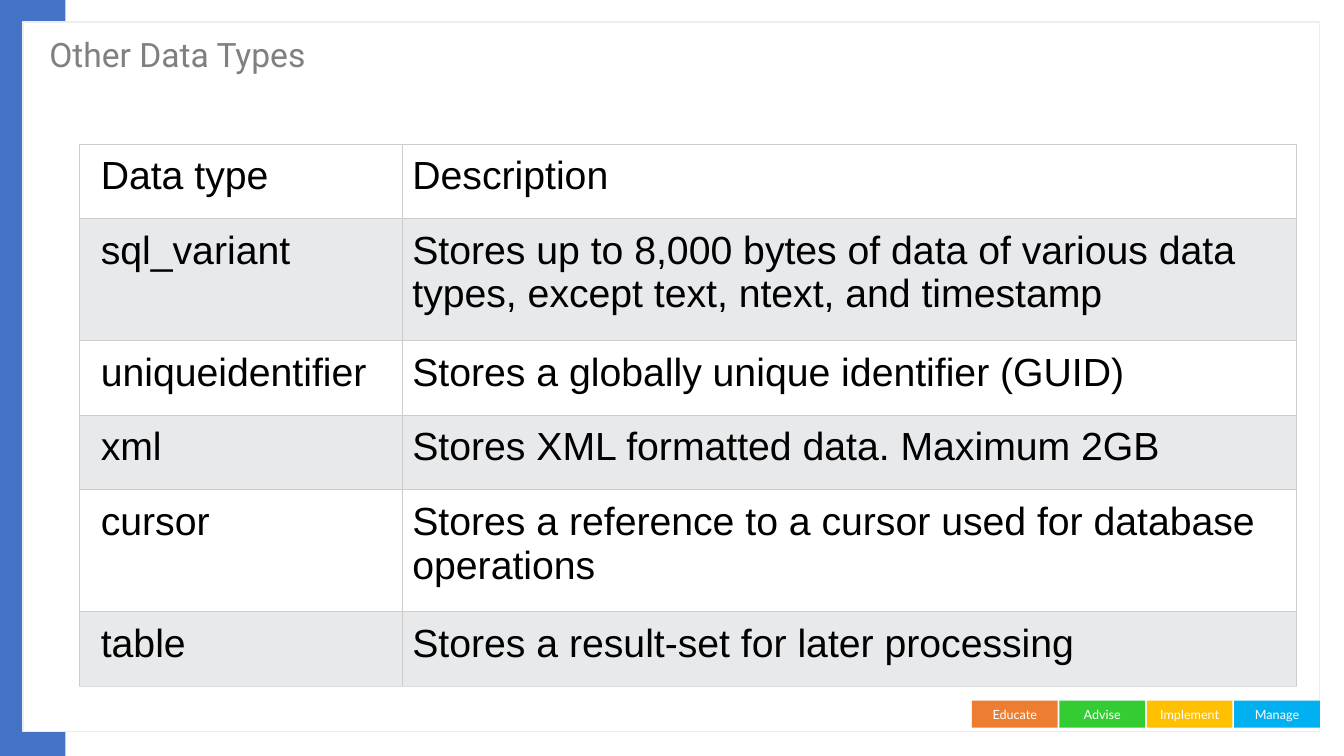
from dataclasses import dataclass

from lxml import etree
from pptx import Presentation
from pptx import util as u
from pptx.dml.color import RGBColor
from pptx.enum import shapes, text
from pptx.oxml import ns


@dataclass
class Box:
    left: float
    top: float
    width: float
    height: float
    fill: str
    line: str = ""
    label: str = ""


@dataclass
class Row:
    name: str
    note: str
    height: float = 0.74


def paint(target, color: str) -> None:
    target.rgb = RGBColor.from_string(color)


def style(frame, face: str, size: float, color: str) -> None:
    for para in frame.paragraphs:
        for run in para.runs:
            run.font.name = face
            run.font.size = u.Pt(size)
            paint(run.font.color, color)


def draw_box(slide, box: Box) -> None:
    shape = slide.shapes.add_shape(
        shapes.MSO_SHAPE.RECTANGLE,
        u.Inches(box.left), u.Inches(box.top),
        u.Inches(box.width), u.Inches(box.height))
    shape.shadow.inherit = False
    shape.fill.solid()
    paint(shape.fill.fore_color, box.fill)
    if box.line:
        paint(shape.line.color, box.line)
        shape.line.width = u.Pt(1)
    else:
        shape.line.fill.background()
    if box.label:
        frame = shape.text_frame
        frame.margin_left = frame.margin_right = 0
        frame.vertical_anchor = text.MSO_ANCHOR.MIDDLE
        frame.text = box.label
        frame.paragraphs[0].alignment = text.PP_ALIGN.CENTER
        style(frame, "Lato", 9, "FFFFFF")


def draw_title(slide, title: str) -> None:
    label = slide.shapes.add_textbox(
        u.Inches(0.39), u.Inches(0.3), u.Inches(10.32), u.Inches(0.87))
    frame = label.text_frame
    frame.word_wrap = True
    frame.margin_top = u.Inches(0.08)
    frame.text = title
    frame.paragraphs[0].line_spacing = 0.9
    style(frame, "Roboto", 24, "808080")


def add_edges(cell, low: str) -> None:
    props = cell._tc.get_or_add_tcPr()
    edges = {"lnL": "CCCCCC", "lnR": "CCCCCC", "lnT": "CCCCCC", "lnB": low}
    # Borders must come before the fill
    for spot, (tag, color) in enumerate(edges.items()):
        edge = etree.Element(ns.qn(f"a:{tag}"), w=str(u.Pt(0.6)))
        solid = etree.SubElement(edge, ns.qn("a:solidFill"))
        etree.SubElement(solid, ns.qn("a:srgbClr"), val=color)
        props.insert(spot, edge)


def draw_table(slide, rows: list[Row], widths: list[float]) -> None:
    table = slide.shapes.add_table(
        len(rows), len(widths), u.Inches(0.79), u.Inches(1.43),
        u.Inches(sum(widths)), u.Inches(sum(r.height for r in rows))).table
    table.first_row = False
    table.horz_banding = False
    for col, width in zip(table.columns, widths):
        col.width = u.Inches(width)
    for i, row in enumerate(rows):
        table.rows[i].height = u.Inches(row.height)
        for j, words in enumerate((row.name, row.note)):
            cell = table.cell(i, j)
            cell.text = words
            cell.margin_left = u.Inches(0.1 if j else 0.21)
            cell.margin_right = u.Inches(0.1)
            cell.margin_top = cell.margin_bottom = u.Inches(0.1)
            style(cell.text_frame, "Arial", 28, "000000")
            if i % 2:
                cell.fill.solid()
                paint(cell.fill.fore_color, "E7E9EB")
            else:
                cell.fill.background()
            add_edges(cell, "DDDDDD" if i == len(rows) - 1 else "CCCCCC")


ROWS = [
    Row("Data type", "Description"),
    Row("sql_variant", "Stores up to 8,000 bytes of data of various data "
        "types, except text, ntext, and timestamp", 1.21),
    Row("uniqueidentifier", "Stores a globally unique identifier (GUID)"),
    Row("xml", "Stores XML formatted data. Maximum 2GB"),
    Row("cursor", "Stores a reference to a cursor used for database "
        "operations", 1.21),
    Row("table", "Stores a result-set for later processing"),
]
TAGS = [("Educate", "ED7D31"), ("Advise", "33CC33"),
        ("Implement", "FFC000"), ("Manage", "00B0F0")]


def main() -> None:
    deck = Presentation()
    deck.slide_width = u.Inches(13.33)
    deck.slide_height = u.Inches(7.5)
    slide = deck.slides.add_slide(deck.slide_layouts[6])

    # Side band and white panel
    draw_box(slide, Box(0, 0, 0.65, 7.5, "4472C4"))
    draw_box(slide, Box(0.23, 0.22, 12.86, 7.04, "FFFFFF", "EDEDED"))

    # Footer tags
    for i, (label, color) in enumerate(TAGS):
        draw_box(slide, Box(9.64 + i * 0.867, 6.95, 0.85, 0.27, color,
                            label=label))

    # Title and table
    draw_title(slide, "Other Data Types")
    draw_table(slide, ROWS, [3.2, 8.87])

    deck.save("out.pptx")


if __name__ == "__main__":
    main()
